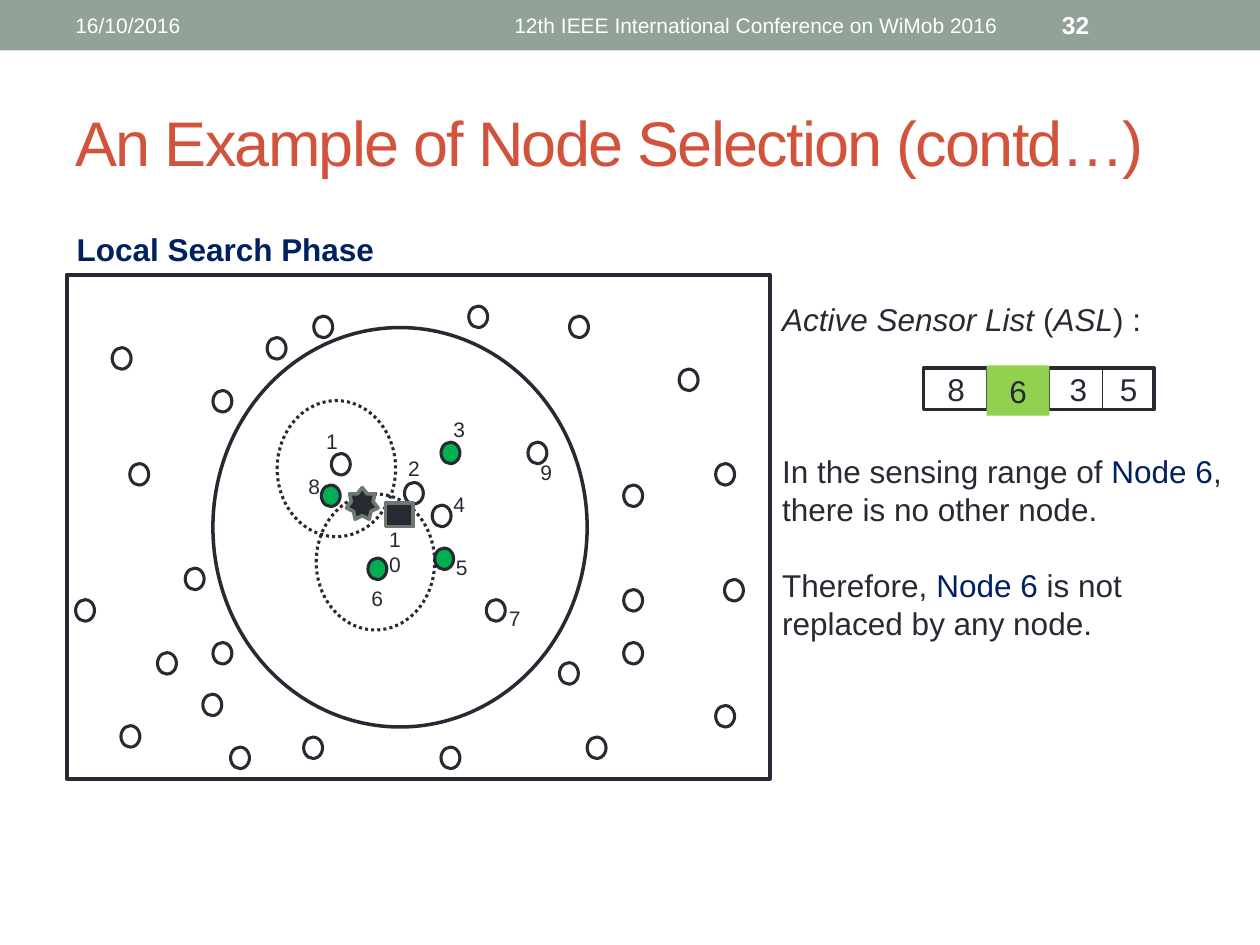
from dataclasses import dataclass
from lxml import etree
from pptx import Presentation, util as u
from pptx.dml.color import RGBColor
from pptx.enum import dml, shapes, text
from pptx.oxml.ns import qn

COLORS = {"ink": "292934", "band": "93A299", "title": "D2533C", "navy": "002060",
          "active": "00B050", "lime": "92D050", "edge": "6D7871", "white": "FFFFFF"}
KIND = shapes.MSO_SHAPE
ALIGN = text.PP_ALIGN
ANCHOR = text.MSO_ANCHOR
NODE_SIZE = (0.15, 0.17)
BODY_LINE = 21.7

IDLE_NODES = [
    (2.49, 2.51), (0.6, 4.76), (4.52, 2.51), (1.47, 4.51), (0.89, 2.76), (1.69, 3.1),
    (1.03, 3.68), (0.96, 5.76), (4.95, 4.68), (5.39, 2.93), (5.68, 3.68), (5.68, 5.6),
    (5.75, 4.6), (1.83, 5.93), (1.69, 5.1), (1.25, 5.18), (2.41, 5.85), (1.61, 5.51),
    (3.5, 5.93), (2.63, 3.6), (3.72, 2.43), (4.44, 5.26), (4.95, 5.1), (2.12, 2.68),
    (3.21, 3.83), (4.19, 3.51), (3.43, 4.01), (4.95, 3.85), (3.86, 4.76), (4.66, 5.85)]
ACTIVE_NODES = [(2.92, 4.43), (2.55, 3.85), (3.5, 3.51), (3.45, 4.35)]
NODE_LABELS = {"1": (2.49, 3.35), "8": (2.35, 3.71), "2": (3.14, 3.57),
               "3": (3.5, 3.26), "4": (3.5, 3.85), "6": (2.85, 4.6),
               "5": (3.52, 4.35), "7": (3.94, 4.76), "9": (4.19, 3.6)}


def rgb(name):
    return RGBColor.from_string(COLORS[name])


@dataclass
class Painter:
    page: object
    font: str = "Arial"

    def style_span(self, span, size, color="ink", bold=False, italic=False):
        span.font.name = self.font
        span.font.size = u.Pt(size)
        span.font.color.rgb = rgb(color)
        span.font.bold = bold
        span.font.italic = italic

    def fill_text(self, box, words, size, color="ink", bold=False,
                  align=ALIGN.LEFT, anchor=ANCHOR.TOP, wrap=True):
        frame = box.text_frame
        frame.text = words
        frame.word_wrap = wrap
        frame.vertical_anchor = anchor
        para = frame.paragraphs[0]
        para.alignment = align
        self.style_span(para.runs[0], size, color, bold)
        return para

    def title(self, words, *place):
        box = self.page.shapes.title
        box.left, box.top, box.width, box.height = map(u.Inches, place)
        para = self.fill_text(box, words, 36, "title", anchor=ANCHOR.MIDDLE)
        para.runs[0].font._element.set("spc", "-100")

    def shape(self, kind, place, fill=None, line=None, width=1.75, dotted=False):
        shape = self.page.shapes.add_shape(kind, *map(u.Inches, place))
        shape.shadow.inherit = False
        if fill:
            shape.fill.solid()
            shape.fill.fore_color.rgb = rgb(fill)
        else:
            shape.fill.background()
        if line:
            shape.line.color.rgb = rgb(line)
            shape.line.width = u.Pt(width)
            if dotted:
                shape.line.dash_style = dml.MSO_LINE.ROUND_DOT
        else:
            shape.line.fill.background()
        return shape

    def node(self, left, top, fill=None):
        self.shape(KIND.OVAL, (left, top, *NODE_SIZE), fill, "ink")

    def label(self, words, place, size, **style):
        box = self.page.shapes.add_textbox(*map(u.Inches, place))
        return self.fill_text(box, words, size, **style)

    def divider(self, x, top, bottom):
        line = self.page.shapes.add_connector(
            shapes.MSO_CONNECTOR.STRAIGHT, *map(u.Inches, (x, top, x, bottom)))
        line.line.color.rgb = rgb("ink")
        line.line.width = u.Pt(0.75)
        etree.SubElement(line._element.spPr, qn("a:effectLst"))

    def body(self, place, paragraphs):
        box = self.page.shapes.add_textbox(*map(u.Inches, place))
        frame = box.text_frame
        frame.word_wrap = True
        for index, (lines_before, spans) in enumerate(paragraphs):
            para = frame.add_paragraph() if index else frame.paragraphs[0]
            para.line_spacing = u.Pt(BODY_LINE)
            if lines_before:
                para.space_before = u.Pt(lines_before * BODY_LINE)
            for words, style in spans:
                span = para.add_run()
                span.text = words
                self.style_span(span, 18, **style)


def draw_header(painter):
    painter.shape(KIND.RECTANGLE, (0, 0, 10, 0.4), "band")
    style = {"color": "white", "anchor": ANCHOR.MIDDLE}
    painter.label("16/10/2016", (0.5, 0.02, 3.17, 0.36), 12, **style)
    painter.label("12th IEEE International Conference on WiMob 2016",
                  (3.75, 0.02, 4.5, 0.36), 12, align=ALIGN.CENTER, **style)
    painter.label("32", (8.33, 0.02, 1.17, 0.36), 14, bold=True, **style)


def draw_field(painter):
    painter.label("Local Search Phase", (0.51, 1.78, 2.82, 0.4), 18,
                  color="navy", bold=True, wrap=False)
    painter.shape(KIND.RECTANGLE, (0.53, 2.18, 5.58, 4), line="ink", width=2.25)
    for place in IDLE_NODES:
        painter.node(*place)
    for place in ACTIVE_NODES:
        painter.node(*place, fill="active")
    painter.shape(KIND.OVAL, (1.69, 2.6, 2.97, 3.17), line="ink", width=2)
    for left, top in [(2.2, 3.18), (2.51, 3.92)]:
        painter.shape(KIND.OVAL, (left, top, 0.94, 1.08), line="ink", dotted=True)
    for words, place in NODE_LABELS.items():
        painter.label(words, (*place, 0.26, 0.3), 12, wrap=False)
    ten = painter.label("10", (2.99, 4.13, 0.34, 0.5), 12)
    ten.line_spacing = u.Pt(14.4)
    painter.shape(KIND.STAR_7_POINT, (2.75, 3.87, 0.25, 0.25), "ink", "edge", 2.08)
    painter.shape(KIND.RECTANGLE, (3.06, 3.99, 0.22, 0.19), "ink", "edge", 2.08)


def draw_sensor_list(painter):
    painter.shape(KIND.RECTANGLE, (7.33, 2.92, 1.83, 0.33), line="ink", width=2.08)
    for x in (7.83, 8.33, 8.75):
        painter.divider(x, 2.92, 3.25)
    chosen = painter.shape(KIND.RECTANGLE, (7.83, 2.9, 0.5, 0.4), "lime")
    painter.fill_text(chosen, "6", 18, align=ALIGN.CENTER, anchor=ANCHOR.MIDDLE)
    for words, left in [("8", 7.42), ("3", 8.39), ("5", 8.79)]:
        painter.label(words, (left, 2.89, 0.33, 0.4), 18)


def main():
    deck = Presentation()
    deck.slide_width, deck.slide_height = u.Inches(10), u.Inches(7.5)
    painter = Painter(deck.slides.add_slide(deck.slide_layouts[5]))
    draw_header(painter)
    painter.title("An Example of Node Selection (contd…)", 0.5, 0.58, 9, 1.08)
    draw_field(painter)
    plain, italic, navy = {}, {"italic": True}, {"color": "navy"}
    painter.body((6.11, 2.33, 3.92, 3), [
        (0, [("Active Sensor List ", italic), ("(", plain), ("ASL", italic), (") :", plain)]),
        (3, [("In the sensing range of ", plain), ("Node 6", navy),
             (", there is no other node.", plain)]),
        (1, [("Therefore, ", plain), ("Node 6", navy),
             (" is not replaced by any node.", plain)])])
    draw_sensor_list(painter)
    deck.save("out.pptx")


if __name__ == "__main__":
    main()
